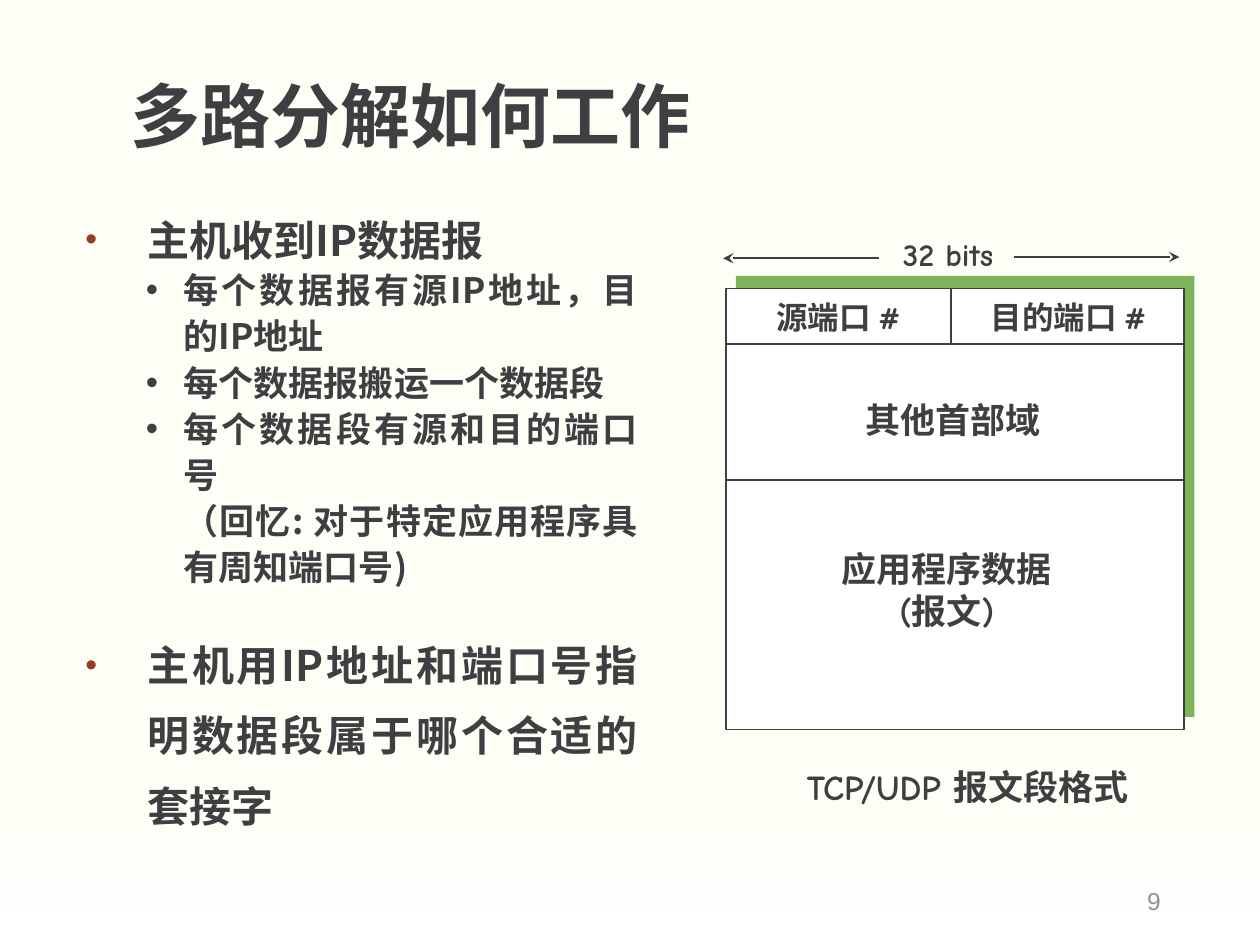
"""Build the slide on how demultiplexing works, with the TCP/UDP segment format."""
from lxml import etree
from pptx import Presentation
from pptx.dml.color import RGBColor
from pptx.enum.shapes import MSO_CONNECTOR, MSO_SHAPE
from pptx.enum.text import MSO_ANCHOR, PP_ALIGN
from pptx.oxml.ns import qn
from pptx.util import Inches, Pt

STRAIGHT = MSO_CONNECTOR.STRAIGHT
RECTANGLE = MSO_SHAPE.RECTANGLE
TOP, MIDDLE = MSO_ANCHOR.TOP, MSO_ANCHOR.MIDDLE
LEFT, CENTER, RIGHT, JUSTIFY = PP_ALIGN.LEFT, PP_ALIGN.CENTER, PP_ALIGN.RIGHT, PP_ALIGN.JUSTIFY
INK = "3D3F41"


def color(value):
    return RGBColor.from_string(value)


def write(paragraph, text, font_name, size, ink=INK, bold=True, **layout):
    paragraph.text = text
    for name, value in layout.items():
        setattr(paragraph, name, value)
    for run in paragraph.runs:
        for name, value in {"name": font_name, "size": Pt(size), "bold": bold}.items():
            setattr(run.font, name, value)
        run.font.color.rgb = color(ink)


presentation = Presentation()
presentation.slide_width, presentation.slide_height = Inches(10), Inches(7.5)
slide = presentation.slides.add_slide(presentation.slide_layouts[6])

background = slide.background.fill
background.gradient()
background.gradient_angle = 270
for stop, (position, value) in zip(background.gradient_stops, [(0.84, "FDFFF7"), (1, "FFFFFF")]):
    stop.position = position
    stop.color.rgb = color(value)

for left, top, fill, outlined in [(5.84, 2.19, "7DB359", False), (5.76, 2.29, "FFFFFF", True)]:
    shape = slide.shapes.add_shape(RECTANGLE, Inches(left), Inches(top), Inches(3.64), Inches(3.5))
    shape.shadow.inherit = False
    shape.fill.solid()
    shape.fill.fore_color.rgb = color(fill)
    if outlined:
        shape.line.color.rgb = color(INK)
        shape.line.width = Pt(1)
    else:
        shape.line.fill.background()

lines = [
    (5.75, 2.73, 9.39, 2.73, False),
    (5.76, 3.81, 9.4, 3.81, False),
    (7.55, 2.72, 7.55, 2.29, False),
    (8.05, 2.04, 9.36, 2.04, True),
    (6.98, 2.05, 5.74, 2.05, True),
]
for start_x, start_y, end_x, end_y, arrow in lines:
    connector = slide.shapes.add_connector(
        STRAIGHT, Inches(start_x), Inches(start_y), Inches(end_x), Inches(end_y))
    connector.line.color.rgb = color(INK)
    connector.line.width = Pt(1)
    properties = connector.element.spPr
    if arrow:
        etree.SubElement(properties.find(qn("a:ln")), qn("a:tailEnd"), type="stealth")
    etree.SubElement(properties, qn("a:effectLst"))

plain = {"font_name": "Arial", "size": 40, "alignment": LEFT, "line_spacing": 0.9}
number = {"font_name": "Arial", "size": 14, "ink": "919293", "bold": False, "alignment": RIGHT}
label = {"font_name": "Comic Neue", "size": 18, "alignment": CENTER}
caption = {**label, "size": 20}
text_boxes = [
    (0.94, 0.57, 7.35, 0.77, ["多路分解如何工作"], plain, MIDDLE, True),
    (7.06, 6.95, 2.25, 0.4, ["9"], number, MIDDLE, True),
    (6.02, 2.32, 1.27, 0.4, ["源端口 #"], label, TOP, False),
    (7.72, 2.32, 1.52, 0.4, ["目的端口 #"], label, TOP, False),
    (6.99, 1.82, 1.07, 0.4, ["32 bits"], label, TOP, False),
    (6.58, 4.3, 1.87, 0.77, ["应用程序数据", "(报文)"], caption, TOP, True),
    (6.77, 3.11, 1.59, 0.43, ["其他首部域"], caption, TOP, True),
    (6.22, 6.03, 2.92, 0.43, ["TCP/UDP 报文段格式"], caption, TOP, False),
]
for left, top, width, height, texts, style, anchor, wrap in text_boxes:
    frame = slide.shapes.add_textbox(
        Inches(left), Inches(top), Inches(width), Inches(height)).text_frame
    frame.word_wrap = wrap
    frame.vertical_anchor = anchor
    for index, text in enumerate(texts):
        paragraph = frame.add_paragraph() if index else frame.paragraphs[0]
        write(paragraph, text, **style)

body = slide.shapes.add_textbox(Inches(0.58), Inches(1.49), Inches(4.58), Inches(5.58)).text_frame
body.word_wrap = True
points = [
    (0, "主机收到IP数据报"),
    (1, "每个数据报有源IP地址，目的IP地址"),
    (1, "每个数据报搬运一个数据段"),
    (1, "每个数据段有源和目的端口号 \v（回忆: 对于特定应用程序具有周知端口号)"),
    (0, "主机用IP地址和端口号指明数据段属于哪个合适的套接字"),
]
levels = [
    {"margin": 0.49, "indent": -0.49, "size": 24, "spacing": 1.4, "before": 18},
    {"margin": 0.78, "indent": -0.3, "size": 20, "spacing": 1.1, "before": 0},
]
for index, (level, text) in enumerate(points):
    paragraph = body.add_paragraph() if index else body.paragraphs[0]
    style = levels[level]
    write(paragraph, text, "Noto Sans CJK SC", style["size"], level=level, alignment=JUSTIFY,
          line_spacing=style["spacing"], space_before=Pt(style["before"] if index else 0))
    properties = paragraph._p.get_or_add_pPr()
    properties.set("marL", str(Inches(style["margin"])))
    properties.set("indent", str(Inches(style["indent"])))
    if level == 0:
        bullet_color = etree.SubElement(properties, qn("a:buClr"))
        etree.SubElement(bullet_color, qn("a:srgbClr"), val="963B22")
        etree.SubElement(properties, qn("a:buSzPct"), val="80000")
    etree.SubElement(properties, qn("a:buFont"), typeface="Arial")
    etree.SubElement(properties, qn("a:buChar"), char="•")

presentation.save("out.pptx")
